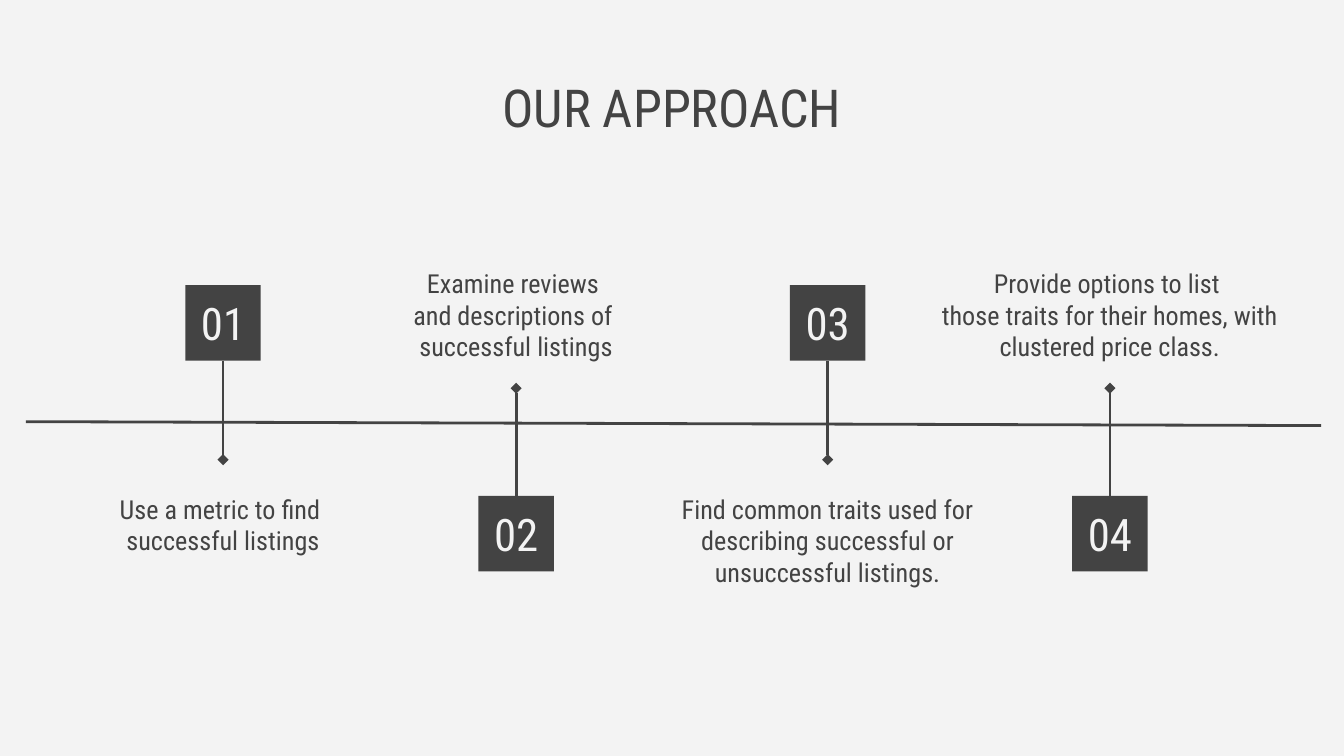
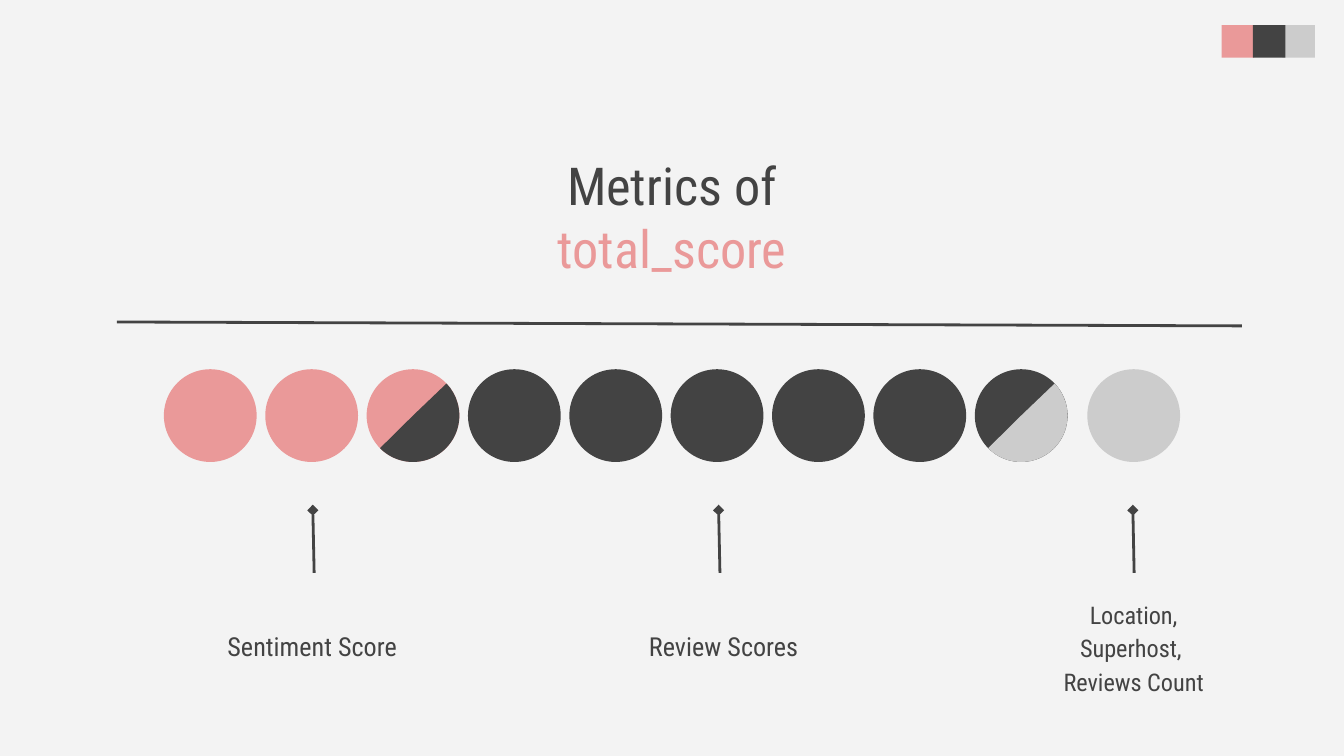
import pptx
import pptx.dml.color
import pptx.enum.dml
import pptx.enum.shapes
import pptx.enum.text
import pptx.oxml.ns
import pptx.oxml.xmlchemy
import pptx.util

Pt = pptx.util.Pt
Shape = pptx.enum.shapes.MSO_SHAPE
Anchor = pptx.enum.text.MSO_ANCHOR

FONT = "Roboto Condensed"
COLORS = {"paper": "F3F3F3", "ink": "434343", "pink": "EA9999", "gray": "CCCCCC"}
INSET = 7.2
TILE = 40.4
CAPTION_WIDTH, CAPTION_HEIGHT = 211.7, 86.4
DISC, DISC_PITCH, DISC_LEFT, DISC_TOP = 49.7, 54.3, 87.8, 197.8
LABEL_WIDTH, LABEL_HEIGHT = 250, 61.2


def rgb(name):
    return pptx.dml.color.RGBColor.from_string(COLORS[name])


def place(shape, left, top, width, height):
    shape.left, shape.top = Pt(left), Pt(top)
    shape.width, shape.height = Pt(width), Pt(height)


def style_run(run, size, color="ink"):
    run.font.name = FONT
    run.font.size = Pt(size)
    run.font.color.rgb = rgb(color)


def set_text(shape, lines, size, color="ink", anchor=Anchor.MIDDLE,
             inset_top=INSET, inset_bottom=INSET, spacing=1.0, after=0):
    frame = shape.text_frame
    frame.word_wrap = True
    frame.auto_size = pptx.enum.text.MSO_AUTO_SIZE.NONE
    frame.vertical_anchor = anchor
    frame.margin_left = frame.margin_right = Pt(INSET)
    frame.margin_top, frame.margin_bottom = Pt(inset_top), Pt(inset_bottom)
    frame.text = "\n".join(lines)
    for para in frame.paragraphs:
        para.alignment = pptx.enum.text.PP_ALIGN.CENTER
        para.line_spacing = spacing
        para.space_before = Pt(0)
        para.space_after = Pt(0)
        for run in para.runs:
            style_run(run, size, color)
    frame.paragraphs[-1].space_after = Pt(after)


def add_title(slide, text, top):
    title = slide.shapes.title
    place(title, 233.3, top, 253.4, 65.5)
    set_text(title, [text], 28, anchor=Anchor.TOP)
    return title


def add_solid(shapes, kind, left, top, size, color):
    shape = shapes.add_shape(kind, Pt(left), Pt(top), Pt(size), Pt(size))
    shape.shadow.inherit = False
    shape.fill.solid()
    shape.fill.fore_color.rgb = rgb(color)
    shape.line.fill.background()
    return shape


def add_line(slide, start, end, diamond=False):
    line = slide.shapes.add_connector(
        pptx.enum.shapes.MSO_CONNECTOR.STRAIGHT, *map(Pt, start + end))
    line.line.color.rgb = rgb("ink")
    line.line.width = Pt(1.5)
    properties = line.element.spPr
    if diamond:
        tail = pptx.oxml.xmlchemy.OxmlElement("a:tailEnd")
        tail.set("type", "diamond")
        properties.find(pptx.oxml.ns.qn("a:ln")).append(tail)
    properties.append(pptx.oxml.xmlchemy.OxmlElement("a:effectLst"))


def add_text_box(slide, left, top, width, height, lines, **style):
    box = slide.shapes.add_textbox(Pt(left), Pt(top), Pt(width), Pt(height))
    set_text(box, lines, 14, **style)


def add_step(slide, number, center, lines):
    tile_above = number % 2 == 1
    tile_top = 152.8 if tile_above else 265.7
    tile = add_solid(slide.shapes, Shape.RECTANGLE, center - TILE / 2, tile_top, TILE, "ink")
    set_text(tile, [f"{number:02}"], 24, "paper")
    caption_left = center - CAPTION_WIDTH / 2
    if tile_above:
        add_line(slide, (center, tile_top + TILE), (center, 246.3), diamond=True)
        add_text_box(slide, caption_left, 246.3, CAPTION_WIDTH, CAPTION_HEIGHT, lines,
                     anchor=Anchor.TOP, inset_top=18, after=16)
    else:
        add_line(slide, (center, tile_top), (center, 208), diamond=True)
        add_text_box(slide, caption_left, 121.8, CAPTION_WIDTH, CAPTION_HEIGHT, lines,
                     inset_bottom=0)


def add_disc(slide, left, color, half_color=None):
    if half_color is None:
        add_solid(slide.shapes, Shape.OVAL, left, DISC_TOP, DISC, color)
        return
    group = slide.shapes.add_group_shape()
    disc = add_solid(group.shapes, Shape.OVAL, left, DISC_TOP, DISC, color)
    half = add_solid(group.shapes, Shape.PIE, left, DISC_TOP, DISC, half_color)
    half.adjustments[0], half.adjustments[1] = 162.75, 54.19
    disc.rotation = half.rotation = 45


def build_approach(deck):
    slide = deck.slides.add_slide(deck.slide_layouts[5])
    add_title(slide, "OUR APPROACH", 33.1)
    add_line(slide, (13.9, 225.9), (707.7, 228))
    steps = [
        (119.5, ["Use a metric to find ", "successful listings"]),
        (276.5, ["Examine reviews ", "and descriptions of ", "successful listings"]),
        (443.4, ["Find common traits used for describing successful or unsuccessful listings."]),
        (594.6, ["Provide options to list ",
                 "those traits for their homes, with clustered price class."]),
    ]
    for number, (center, lines) in enumerate(steps, 1):
        add_step(slide, number, center, lines)


def build_metrics(deck):
    slide = deck.slides.add_slide(deck.slide_layouts[0])
    title = add_title(slide, "Metrics of", 74.9)
    para = title.text_frame.paragraphs[0]
    para.add_line_break()
    score = para.add_run()
    score.text = "total_score"
    style_run(score, 28, "pink")

    for left, color in [(654.5, "pink"), (687, "gray"), (671.2, "ink")]:
        add_solid(slide.shapes, Shape.RECTANGLE, left, 13.5, 17.4, color)

    add_line(slide, (62.6, 172.5), (665.3, 174.6))
    discs = [("pink",)] * 2 + [("pink", "ink")] + [("ink",)] * 5 + [("ink", "gray")]
    for index, colors in enumerate(discs):
        add_disc(slide, DISC_LEFT + index * DISC_PITCH, *colors)
    add_disc(slide, 582.5, "gray")

    for head in (167.6, 385, 606.9):
        add_line(slide, (head + 0.7, 306.9), (head, 273.4), diamond=True)

    label_style = dict(anchor=Anchor.BOTTOM, inset_top=14.4, inset_bottom=0, spacing=1.15)
    for left, label in [(42.3, "Sentiment Score"), (262.7, "Review Scores")]:
        add_text_box(slide, left, 293.2, LABEL_WIDTH, LABEL_HEIGHT, [label],
                     after=16, **label_style)
    factors = slide.placeholders[1]
    place(factors, 545, 311.8, 124.6, LABEL_HEIGHT)
    set_text(factors, ["Location,", "Superhost, ", "Reviews Count"], 13, **label_style)


def main():
    deck = pptx.Presentation()
    deck.slide_width, deck.slide_height = Pt(720), Pt(405)
    background = deck.slide_master.background.fill
    background.solid()
    background.fore_color.rgb = rgb("paper")
    build_approach(deck)
    build_metrics(deck)
    deck.save("out.pptx")


if __name__ == "__main__":
    main()
